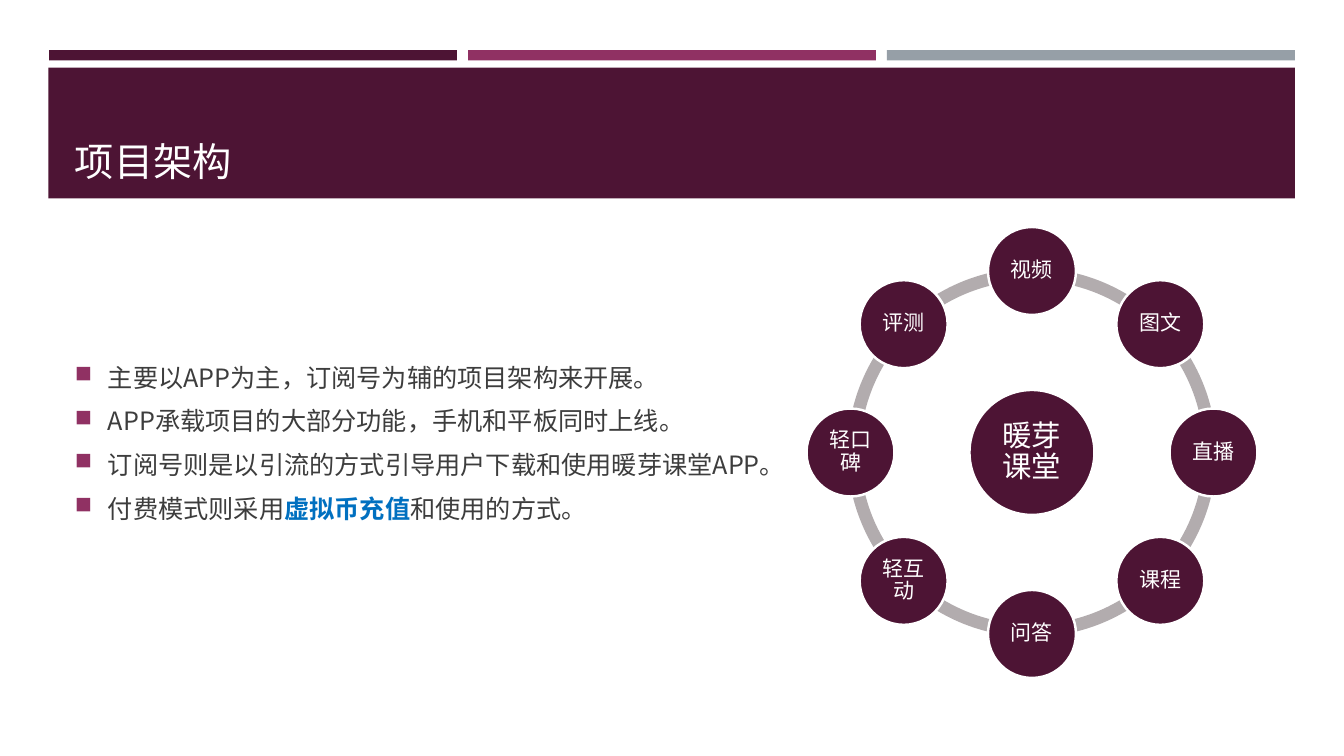
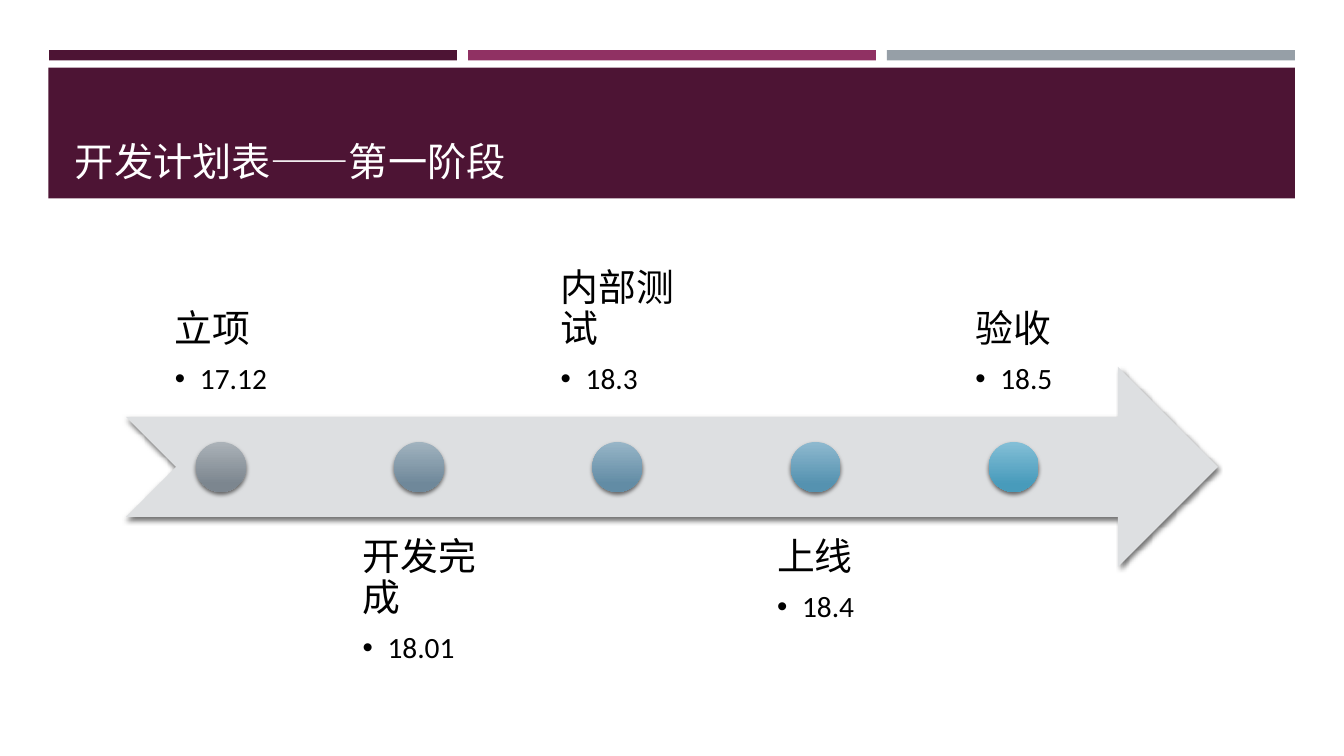
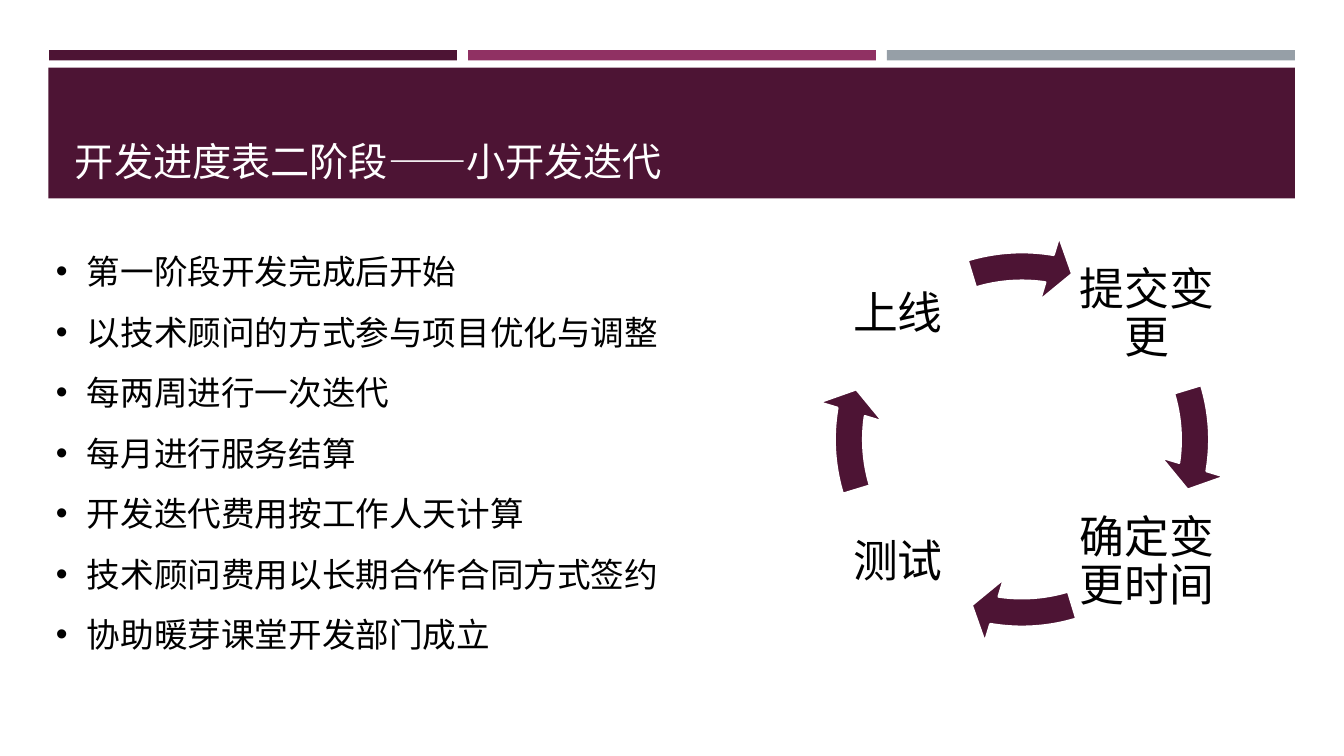
"""Build a three-slide project plan: structure, first phase and second phase."""
import math

from lxml import etree
from pptx import Presentation
from pptx import util as u
from pptx.dml.color import RGBColor
from pptx.enum import shapes, text
from pptx.oxml.ns import qn

PLUM, BERRY, GREY = "4D1434", "903163", "969FA7"
WHITE, BLACK, INK, BLUE, RING = "FFFFFF", "000000", "3D3D3D", "0070C0", "B2ACAE"
SILVER = "DDDFE1"
CJK, LATIN = "Noto Sans CJK SC", "Calibri"
SHAPE, ANCHOR = shapes.MSO_SHAPE, text.MSO_ANCHOR
CENTER = text.PP_ALIGN.CENTER

HUB = "暖芽课堂"
STRUCTURE = [
    "主要以APP为主，订阅号为辅的项目架构来开展。",
    "APP承载项目的大部分功能，手机和平板同时上线。",
    f"订阅号则是以引流的方式引导用户下载和使用{HUB}APP。",
    "付费模式则采用|虚拟币充值|和使用的方式。",
]
FEATURES = ["视频", "图文", "直播", "课程", "问答", "轻互动", "轻口碑", "评测"]
MILESTONES = [
    ("立项", "17.12", "ABB2B8", "7C868F"),
    ("开发完成", "18.01", "A1B3BF", "6F889A"),
    ("内部测试", "18.3", "97B5C7", "628CA5"),
    ("上线", "18.4", "8EB9CF", "5592B0"),
    ("验收", "18.5", "84BFD7", "489BBB"),
]
ITERATION = [
    "第一阶段开发完成后开始",
    "以技术顾问的方式参与项目优化与调整",
    "每两周进行一次迭代",
    "每月进行服务结算",
    "开发迭代费用按工作人天计算",
    "技术顾问费用以长期合作合同方式签约",
    f"协助{HUB}开发部门成立",
]
CYCLE = [("提交变更", 1, 0), ("确定变更时间", 1, 1), ("测试", 0, 1), ("上线", 0, 0)]


def px(n):
    return u.Emu(round(n * 914400 / 100.8))


def rgb(value):
    return RGBColor.from_string(value)


def add_xml(parent, tag, **attrs):
    return etree.SubElement(parent, qn(tag), {k: str(v) for k, v in attrs.items()})


def add_shape(s, kind, box, fill=None, line=None, adj=()):
    sp = s.shapes.add_shape(kind, *map(px, box))
    sp.shadow.inherit = False
    for i, value in enumerate(adj):
        sp.adjustments[i] = value
    if fill:
        sp.fill.solid()
        sp.fill.fore_color.rgb = rgb(fill)
    if line:
        sp.line.color.rgb = rgb(line)
        sp.line.width = u.Pt(1.75)
    else:
        sp.line.fill.background()
    return sp


def add_shadow(sp):
    effects = sp._element.spPr.find(qn("a:effectLst"))
    shadow = add_xml(effects, "a:outerShdw", blurRad=u.Pt(3), dist=u.Pt(2),
                     dir=5400000, algn="ctr", rotWithShape=0)
    add_xml(add_xml(shadow, "a:srgbClr", val=BLACK), "a:alpha", val=55000)


def set_frame(tf, anchor, inset=None):
    tf.word_wrap = True
    tf.vertical_anchor = anchor
    if inset is not None:
        tf.margin_left = tf.margin_right = px(inset)
        tf.margin_top = tf.margin_bottom = px(inset)


def add_text(s, box, content, anchor, inset=None):
    tf = s.shapes.add_textbox(*map(px, box)).text_frame
    set_frame(tf, anchor, inset)
    tf.text = content
    return tf


def style(p, size, color, font=LATIN, align=None, spacing=None, before=None, after=None):
    p.alignment = align
    p.line_spacing = spacing
    if before is not None:
        p.space_before = u.Pt(before)
    if after is not None:
        p.space_after = u.Pt(after)
    for r in p.runs:
        r.font.size = u.Pt(size)
        r.font.name = font
        r.font.color.rgb = rgb(color)
        add_xml(r.font._element, "a:ea", typeface=CJK)


def add_bullet(p, indent, char="•", font="Arial", color=None, percent=100):
    pPr = p._p.get_or_add_pPr()
    pPr.set("marL", str(px(indent)))
    pPr.set("indent", str(-px(indent)))
    if color:
        add_xml(add_xml(pPr, "a:buClr"), "a:srgbClr", val=color)
    add_xml(pPr, "a:buSzPct", val=percent * 1000)
    add_xml(pPr, "a:buFont", typeface=font)
    add_xml(pPr, "a:buChar", char=char)


def label(tf, size, color):
    style(tf.paragraphs[0], size, color, align=CENTER, spacing=0.9, after=size * 0.35)


def add_slide(prs, title, font=CJK):
    s = prs.slides.add_slide(prs.slide_layouts[6])
    for i, color in enumerate((PLUM, BERRY, GREY)):
        add_shape(s, SHAPE.RECTANGLE, (49 + 419 * i, 50, 408, 10.5), color)
    add_shape(s, SHAPE.RECTANGLE, (48.5, 67.5, 1246.5, 131), PLUM)
    tf = add_text(s, (65, 77, 1215, 112), title, ANCHOR.BOTTOM)
    style(tf.paragraphs[0], 28, WHITE, font)
    return s


def add_disc(s, cx, cy, size, name, font_size):
    sp = add_shape(s, SHAPE.OVAL, (cx - size / 2, cy - size / 2, size, size), PLUM, WHITE)
    set_frame(sp.text_frame, ANCHOR.MIDDLE, 2)
    sp.text_frame.text = name
    label(sp.text_frame, font_size, WHITE)


def structure_slide(prs):
    s = add_slide(prs, "项目架构")
    tf = add_text(s, (65, 240, 1215, 405), "", ANCHOR.MIDDLE)
    for i, line in enumerate(STRUCTURE):
        p = tf.add_paragraph() if i else tf.paragraphs[0]
        for part in line.split("|"):
            p.add_run().text = part
        style(p, 18, INK, CJK, before=3.6, after=6)
        for r in p.runs[1::2]:
            r.font.bold = True
            r.font.color.rgb = rgb(BLUE)
        add_bullet(p, 33, "n", "Wingdings", BERRY, 92)

    cx, cy, radius, ring = 1032, 452.5, 181.5, 369
    for i in range(len(FEATURES)):
        add_shape(s, SHAPE.BLOCK_ARC, (cx - ring / 2, cy - ring / 2, ring, ring), RING,
                  adj=(27 * i, 27 * (i + 1) % 216, 0.034))
    add_disc(s, cx, cy, 125, HUB, 21)
    for i, name in enumerate(FEATURES):
        angle = math.tau * i / len(FEATURES)
        add_disc(s, cx + radius * math.sin(angle), cy - radius * math.cos(angle), 88, name, 15)


def timeline_slide(prs):
    s = add_slide(prs, "开发计划表——第一阶段", LATIN)
    add_shadow(add_shape(s, SHAPE.NOTCHED_RIGHT_ARROW, (126, 367, 1092, 200), SILVER))
    for i, (name, date, top_color, low_color) in enumerate(MILESTONES):
        cx, below = 221 + 198.2 * i, i % 2
        tf = add_text(s, (cx - 94, 517 if below else 217, 188, 200), f"{name}\n{date}",
                      ANCHOR.TOP if below else ANCHOR.BOTTOM, 21)
        tf._txBody.bodyPr.set("anchorCtr", "1")
        head, day = tf.paragraphs
        style(head, 27, BLACK, spacing=0.9, after=9.45)
        style(day, 21, BLACK, spacing=0.9, after=3.15)
        day.level = 1
        add_bullet(day, 25)
        dot = add_shape(s, SHAPE.OVAL, (cx - 25, 442, 50, 50))
        dot.fill.gradient()
        dot.fill.gradient_angle = 270
        for stop, color, position in zip(dot.fill.gradient_stops, (top_color, low_color), (0, 0.84)):
            stop.color.rgb = rgb(color)
            stop.position = position
        add_shadow(dot)


def iteration_slide(prs):
    s = add_slide(prs, "开发进度表二阶段——小开发迭代")
    for i, (name, column, row) in enumerate(CYCLE):
        tf = add_text(s, (825 + 249 * column, 242 + 248 * row, 146, 146), name, ANCHOR.MIDDLE, 4)
        label(tf, 32, BLACK)
        add_shape(s, SHAPE.CIRCULAR_ARROW, (815.5, 233, 413, 413), PLUM, WHITE,
                  (0.069, 4.658, 5.474 + 54 * i, (205.868 + 54 * i) % 216, 0.081))
    tf = add_text(s, (46, 226, 641, 437), "\n".join(ITERATION), ANCHOR.TOP)
    for p in tf.paragraphs:
        style(p, 24, BLACK, CJK, spacing=1.5)
        add_bullet(p, 31)


prs = Presentation()
prs.slide_width, prs.slide_height = px(1344), px(756)
structure_slide(prs)
timeline_slide(prs)
iteration_slide(prs)
prs.save("out.pptx")
